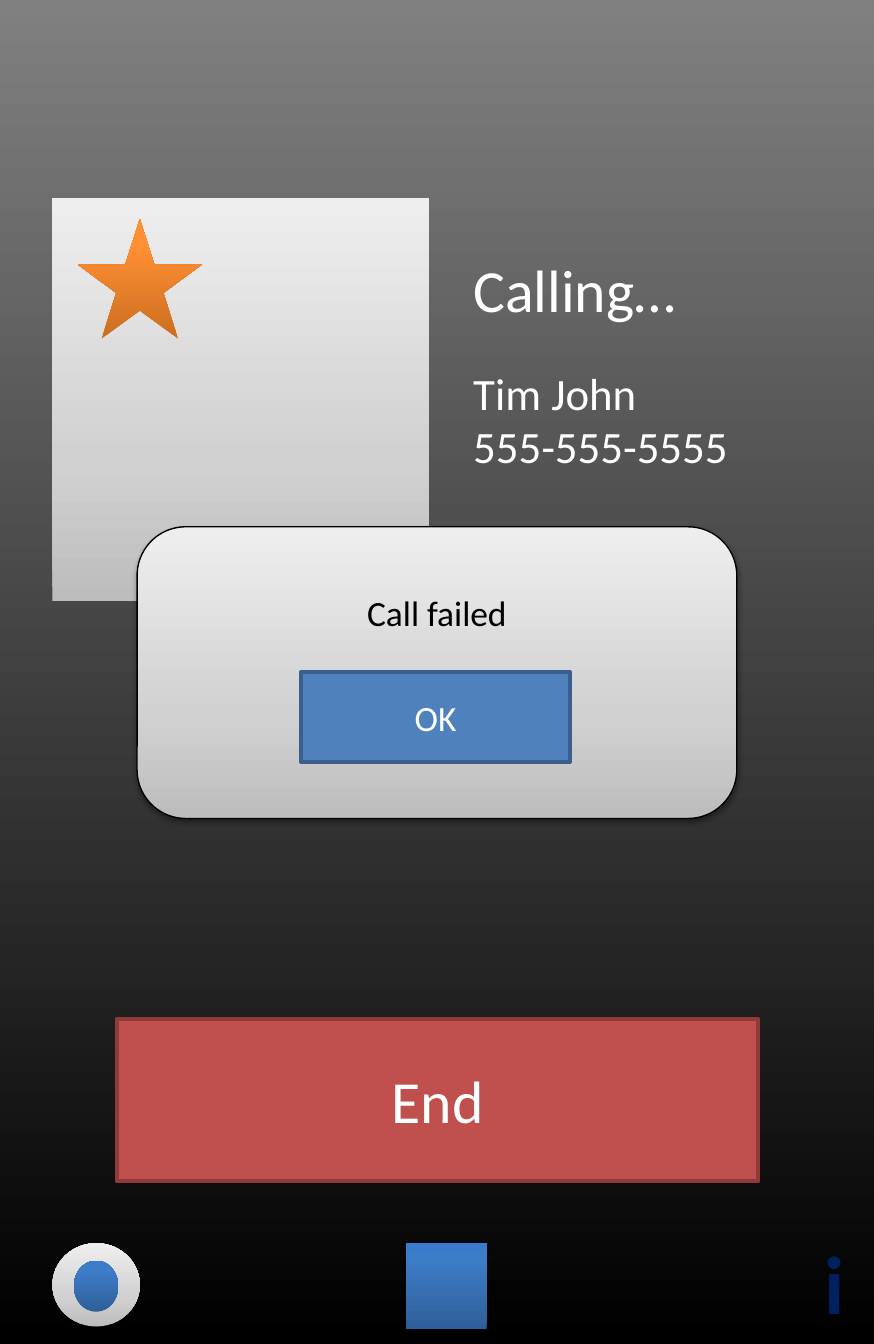
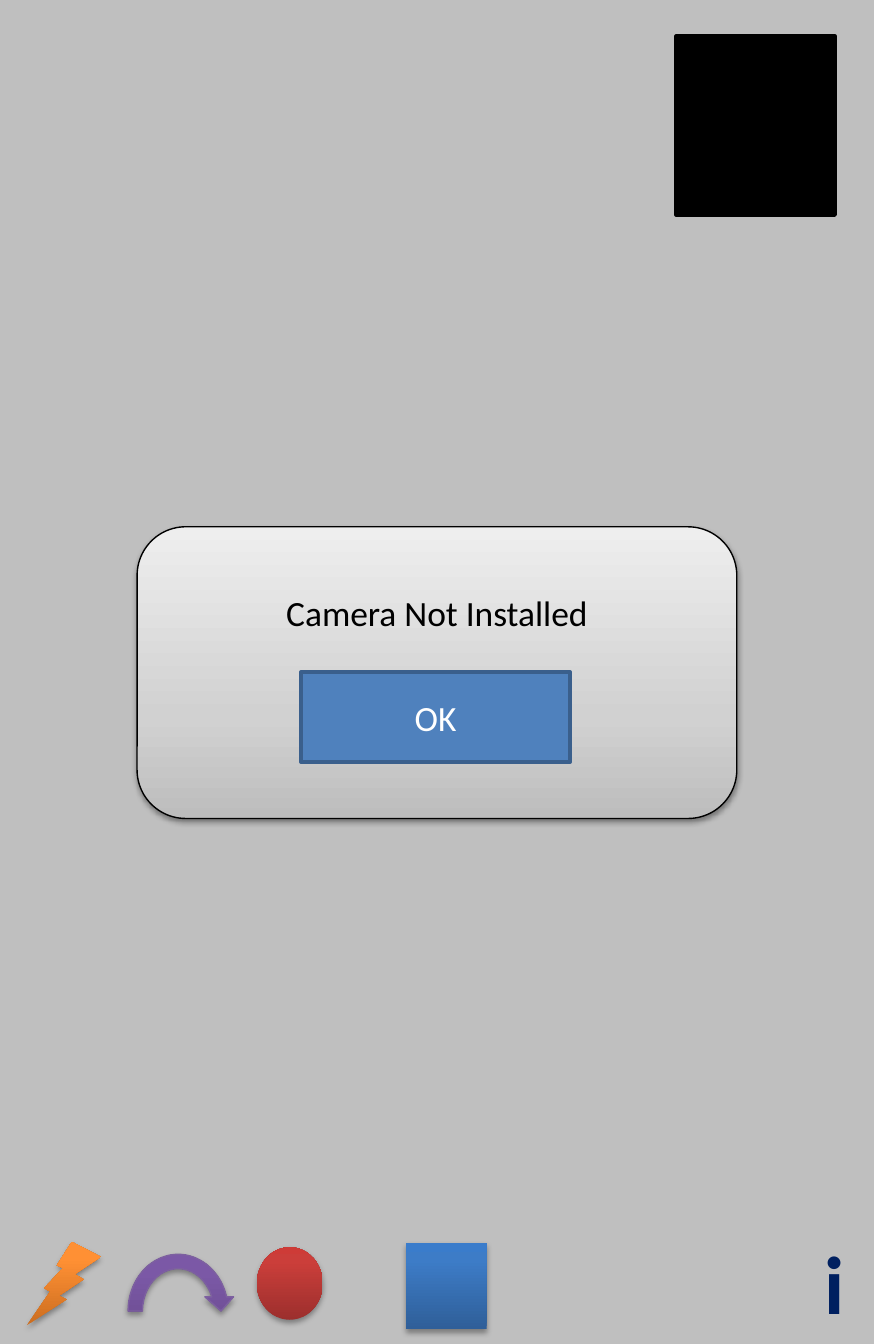
from lxml.etree import SubElement
from pptx import Presentation
from pptx.dml.color import RGBColor
from pptx.enum.shapes import MSO_SHAPE
from pptx.enum.text import MSO_ANCHOR, PP_ALIGN
from pptx.oxml.ns import qn
from pptx.util import Emu, Pt

PX = 9144  # 100 px to the inch
WIDTH, HEIGHT = 650, 1000
FONT = "Calibri"

COLORS = {
    "white": "FFFFFF", "black": "000000", "grey": "BFBFBF", "navy": "002060",
    "red": "C0504D", "red_edge": "8E3B39",
    "blue": "4F81BD", "blue_edge": "3A5F8C", "purple_edge": "7D60A0",
}
# Gradient stops as (percent, colour), from bottom to top
GRADIENTS = {
    "silver": [(0, "BDBDBD"), (35, "D1D1D1"), (100, "EEEEEE")],
    "orange": [(0, "CC6E20"), (80, "FF9034"), (100, "FF9136")],
    "azure": [(0, "2F5F99"), (80, "3D7CC7"), (100, "3A7CCB")],
    "violet": [(0, "5F4480"), (80, "7B58A6"), (100, "7C57A8")],
    "crimson": [(0, "9C2F2D"), (80, "CB3E3A"), (100, "CE3B37")],
    "night": [(0, "000000"), (100, "808080")],
}
# Shadows as (opacity percent, distance in points)
SOFT, STRONG = (35, 1.8), (38, 1.6)


def rgb(name):
    return RGBColor.from_string(COLORS[name])


def emu(*lengths):
    return [Emu(n * PX) for n in lengths]


def paint(fill, element, name):
    """Fill with a plain colour or with a gradient rising from the bottom."""
    if name in COLORS:
        fill.solid()
        fill.fore_color.rgb = rgb(name)
        return
    fill.gradient()
    fill.gradient_angle = 90
    stops = element.find(".//" + qn("a:gsLst"))
    for gs in list(stops):
        stops.remove(gs)
    for percent, color in GRADIENTS[name]:
        gs = SubElement(stops, qn("a:gs"), pos=str(percent * 1000))
        SubElement(gs, qn("a:srgbClr"), val=color)


def add_shadow(sp, opacity, distance):
    effects = sp._element.spPr.find(qn("a:effectLst"))
    outer = SubElement(effects, qn("a:outerShdw"), blurRad=str(Pt(3.1)),
                       dist=str(Pt(distance)), dir="5400000", rotWithShape="0")
    color = SubElement(outer, qn("a:srgbClr"), val=COLORS["black"])
    SubElement(color, qn("a:alpha"), val=str(opacity * 1000))


def add_shape(shapes, kind, box, fill, edge=None, edge_width=2, shadow=None):
    sp = shapes.add_shape(kind, *emu(*box))
    sp.shadow.inherit = False
    paint(sp.fill, sp._element, fill)
    if edge:
        sp.line.color.rgb = rgb(edge)
        sp.line.width = Pt(edge_width)
    else:
        sp.line.fill.background()
    if shadow:
        add_shadow(sp, *shadow)
    return sp


def set_text(p, text, size, color, align=PP_ALIGN.CENTER, bold=False):
    p.text = text
    p.alignment = align
    p.font.name = FONT
    p.font.size = Pt(size)
    p.font.bold = bold
    p.font.color.rgb = rgb(color)


def add_button(shapes, box, text, size, fill):
    sp = add_shape(shapes, MSO_SHAPE.RECTANGLE, box, fill, fill + "_edge")
    sp.text_frame.vertical_anchor = MSO_ANCHOR.MIDDLE
    set_text(sp.text_frame.paragraphs[0], text, size, "white")


def add_dialog(s, box, message):
    """Message panel with its OK button."""
    x, y, w, h = box
    shapes = s.shapes.add_group_shape().shapes
    panel = add_shape(shapes, MSO_SHAPE.ROUNDED_RECTANGLE, box, "silver",
                      "black", 0.75, STRONG)
    tf = panel.text_frame
    tf.vertical_anchor = MSO_ANCHOR.TOP
    tf.margin_top = Emu(37 * PX)
    set_text(tf.paragraphs[0], message, 19, "black")
    add_button(shapes, (x + 122, y + 108, 200, 67), "OK", 19, "blue")


def add_footer(s, box):
    """Home square and info mark shared by both screens."""
    x, y, w, h = box
    add_shape(s.shapes, MSO_SHAPE.FLOWCHART_PROCESS, (x + 302, y + 13, 60, 64),
              "azure", shadow=SOFT)
    tf = s.shapes.add_textbox(*emu(x + w - 52, y, 46, h)).text_frame
    tf.word_wrap = True
    set_text(tf.paragraphs[0], "i", 44, "navy", bold=True)


def add_contact(s, box):
    """Photo card with a star, and the caller's details beside it."""
    x, y, w, h = box
    add_shape(s.shapes, MSO_SHAPE.RECTANGLE, (x, y, 280, h), "silver")
    add_shape(s.shapes, MSO_SHAPE.STAR_5_POINT, (x + 19, y + 16, 92, 89), "orange")
    tf = s.shapes.add_textbox(*emu(x + w - 280, y + 35, 280, 176)).text_frame
    tf.word_wrap = True
    tf.margin_left = tf.margin_right = Emu(11 * PX)
    tf.margin_top = tf.margin_bottom = Emu(6 * PX)
    lines = [("Calling…", 32, 0), ("Tim John", 24, 22), ("555-555-5555", 24, 0)]
    for i, (text, size, gap) in enumerate(lines):
        p = tf.add_paragraph() if i else tf.paragraphs[0]
        set_text(p, text, size, "white", PP_ALIGN.LEFT)
        p.space_before = Pt(gap)


def add_record_icon(s, box):
    x, y, w, h = box
    add_shape(s.shapes, MSO_SHAPE.OVAL, box, "silver", shadow=STRONG)
    add_shape(s.shapes, MSO_SHAPE.OVAL, (x + 16, y + 13, 33, 38), "azure")


def add_camera_tools(s, box):
    """Flash, rotate and shutter icons."""
    x, y, w, h = box
    bolt = add_shape(s.shapes, MSO_SHAPE.LIGHTNING_BOLT, (x, y, 55, 62),
                     "orange", shadow=SOFT)
    bolt._element.spPr.find(qn("a:xfrm")).set("flipH", "1")
    add_shape(s.shapes, MSO_SHAPE.CIRCULAR_ARROW, (x + 70, y + 4, 85, 95),
              "violet", "purple_edge", 0.75, SOFT)
    add_shape(s.shapes, MSO_SHAPE.OVAL, (x + 171, y + 4, 49, 54),
              "crimson", shadow=SOFT)


DIALOG = (102, 392, 446, 217)
FOOTER = (0, 912, WIDTH, 87)


def new_screen(prs, background):
    s = prs.slides.add_slide(prs.slide_layouts[6])
    paint(s.background.fill, s._element, background)
    add_footer(s, FOOTER)
    return s


def build_call_screen(prs):
    s = new_screen(prs, "night")
    add_contact(s, (39, 147, 582, 300))
    add_record_icon(s, (39, 925, 65, 62))
    add_button(s.shapes, (87, 758, 477, 121), "End", 32, "red")
    add_dialog(s, DIALOG, "Call failed")


def build_camera_screen(prs):
    s = new_screen(prs, "grey")
    add_shape(s.shapes, MSO_SHAPE.RECTANGLE, (503, 27, 118, 133), "black", "black")
    add_camera_tools(s, (20, 924, 220, 99))
    add_dialog(s, DIALOG, "Camera Not Installed")


def main():
    prs = Presentation()
    prs.slide_width, prs.slide_height = emu(WIDTH, HEIGHT)
    build_call_screen(prs)
    build_camera_screen(prs)
    prs.save("out.pptx")


if __name__ == "__main__":
    main()
